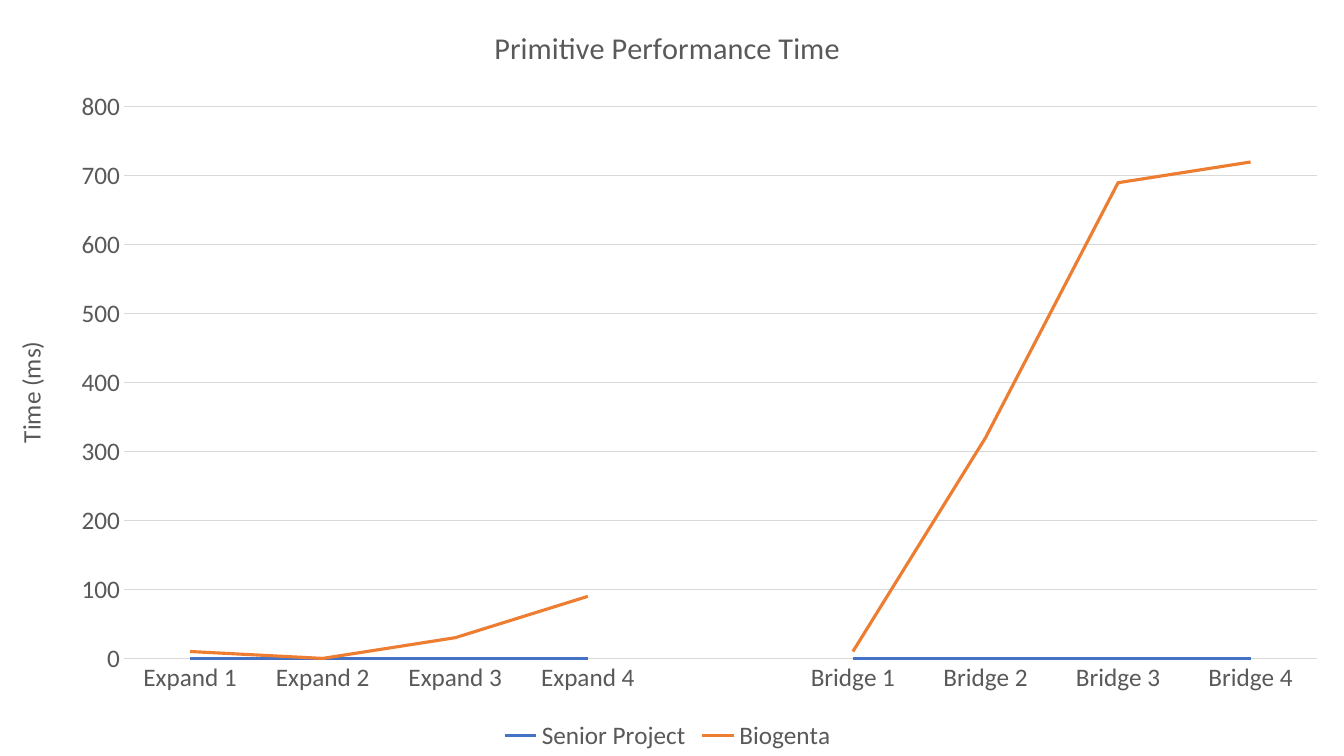
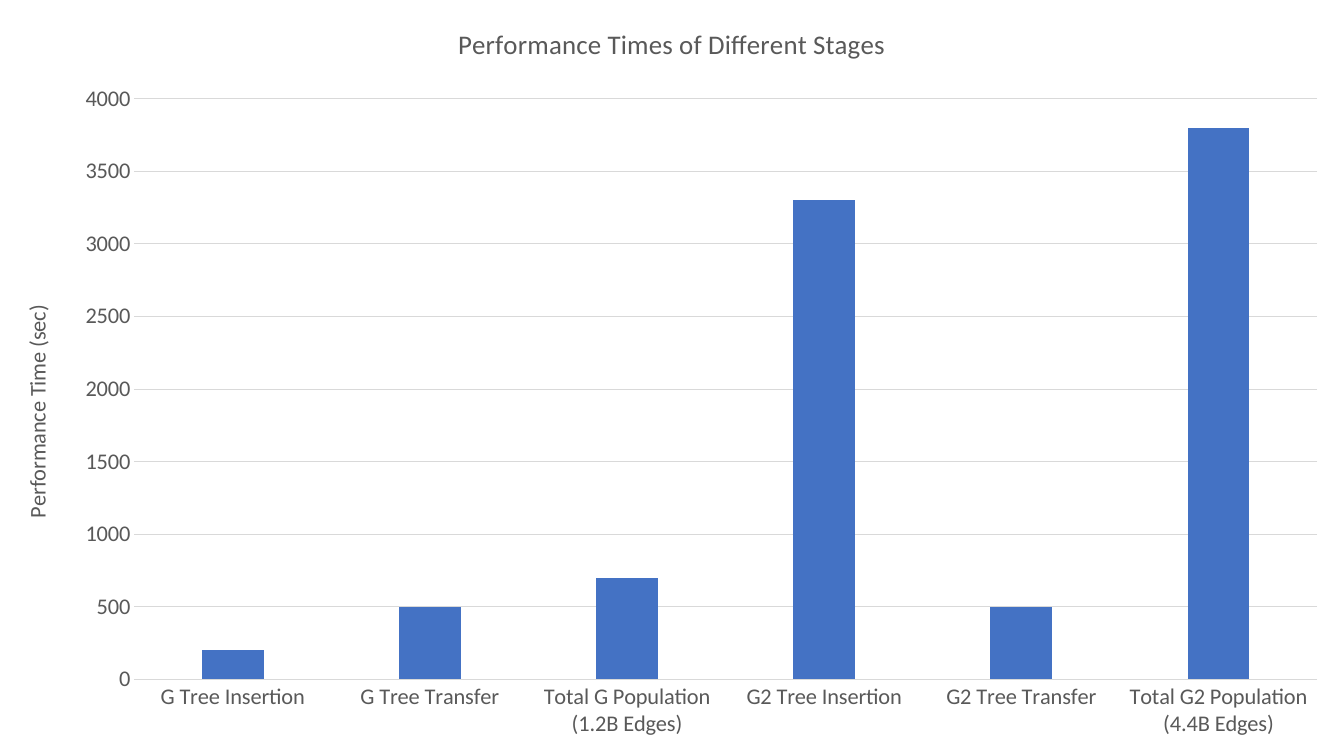
"""Build two slides of performance charts."""
import dataclasses
import typing

import pptx
import pptx.chart.axis
import pptx.chart.chart
import pptx.chart.data
import pptx.dml.color
import pptx.dml.line
import pptx.enum.chart
import pptx.slide
import pptx.text.text
import pptx.util

Pt = pptx.util.Pt
Rgb = pptx.dml.color.RGBColor
Kind = pptx.enum.chart.XL_CHART_TYPE


@dataclasses.dataclass(frozen=True)
class Theme:
    font: str = "Calibri"
    text: Rgb = Rgb(0x59, 0x59, 0x59)
    grid: Rgb = Rgb(0xD9, 0xD9, 0xD9)
    fills: tuple[Rgb, ...] = (Rgb(0x44, 0x72, 0xC4), Rgb(0xED, 0x7D, 0x31))
    thin: float = 0.75
    thick: float = 2.25
    scale: float = 1.2


class Series(typing.NamedTuple):
    name: str
    vals: tuple[float | None, ...]


@dataclasses.dataclass(frozen=True)
class Plot:
    kind: Kind
    title: str
    unit: str
    cats: tuple[str, ...]
    rows: tuple[Series, ...]
    box: tuple[float, float, float, float]
    size: float
    top: float
    step: float


THEME = Theme()
PLOTS = (
    Plot(
        Kind.LINE, "Primitive Performance Time", "Time (ms)",
        ("Expand 1", "Expand 2", "Expand 3", "Expand 4", "",
         "Bridge 1", "Bridge 2", "Bridge 3", "Bridge 4"),
        (Series("Senior Project", (0, 0, 0, 0, None, 0, 0, 0, 0)),
         Series("Biogenta", (10, 0, 30, 90, None, 10, 320, 690, 720))),
        (-6.5, 0, 966.5, 540), 18, 800, 100,
    ),
    Plot(
        Kind.COLUMN_CLUSTERED, "Performance Times of Different Stages",
        "Performance Time (sec)",
        ("G Tree Insertion", "G Tree Transfer",
         "Total G Population (1.2B Edges)", "G2 Tree Insertion",
         "G2 Tree Transfer", "Total G2 Population (4.4B Edges)"),
        (Series("Series 1", (200, 500, 700, 3300, 500, 3800)),),
        (0, 0, 960, 538), 16, 4000, 500,
    ),
)


def style(font: pptx.text.text.Font, size: float) -> None:
    font.name = THEME.font
    font.size = Pt(size)
    font.bold = False
    font.color.rgb = THEME.text


def label(frame: pptx.text.text.TextFrame, text: str, size: float) -> None:
    frame.text = text
    for run in frame.paragraphs[0].runs:
        style(run.font, size)


def rule(line: pptx.dml.line.LineFormat, color: Rgb, width: float) -> None:
    line.color.rgb = color
    line.width = Pt(width)


def axes(chart: pptx.chart.chart.Chart, plot: Plot) -> None:
    cat, val = chart.category_axis, chart.value_axis
    for axis in (cat, val):
        axis.major_tick_mark = pptx.enum.chart.XL_TICK_MARK.NONE
        axis.minor_tick_mark = pptx.enum.chart.XL_TICK_MARK.NONE
        style(axis.tick_labels.font, plot.size)
    rule(cat.format.line, THEME.grid, THEME.thin)
    val.format.line.fill.background()
    val.has_major_gridlines = True
    rule(val.major_gridlines.format.line, THEME.grid, THEME.thin)
    val.minimum_scale, val.maximum_scale = 0, plot.top
    val.major_unit = plot.step
    label(val.axis_title.text_frame, plot.unit, plot.size)


def paint(chart: pptx.chart.chart.Chart, kind: Kind) -> None:
    body = chart.plots[0]
    body.vary_by_categories = False
    for item, color in zip(body.series, THEME.fills):
        if kind == Kind.LINE:
            item.smooth = False
            item.marker.style = pptx.enum.chart.XL_MARKER_STYLE.NONE
            rule(item.format.line, color, THEME.thick)
        else:
            item.format.fill.solid()
            item.format.fill.fore_color.rgb = color
    if kind == Kind.COLUMN_CLUSTERED:
        body.gap_width = 219
        body.overlap = -27


def draw(slide: pptx.slide.Slide, plot: Plot) -> None:
    data = pptx.chart.data.CategoryChartData(number_format="General")
    data.categories = plot.cats
    for row in plot.rows:
        data.add_series(row.name, row.vals)
    box = [Pt(side) for side in plot.box]
    chart = slide.shapes.add_chart(plot.kind, *box, data).chart
    style(chart.font, plot.size)
    chart.has_title = True
    label(chart.chart_title.text_frame, plot.title, plot.size * THEME.scale)
    chart.has_legend = len(plot.rows) > 1
    if chart.has_legend:
        chart.legend.position = pptx.enum.chart.XL_LEGEND_POSITION.BOTTOM
        chart.legend.include_in_layout = False
        style(chart.legend.font, plot.size)
    axes(chart, plot)
    paint(chart, plot.kind)


def main() -> None:
    deck = pptx.Presentation()
    deck.slide_width, deck.slide_height = Pt(960), Pt(540)
    for plot in PLOTS:
        draw(deck.slides.add_slide(deck.slide_layouts[6]), plot)
    deck.save("out.pptx")


if __name__ == "__main__":
    main()
